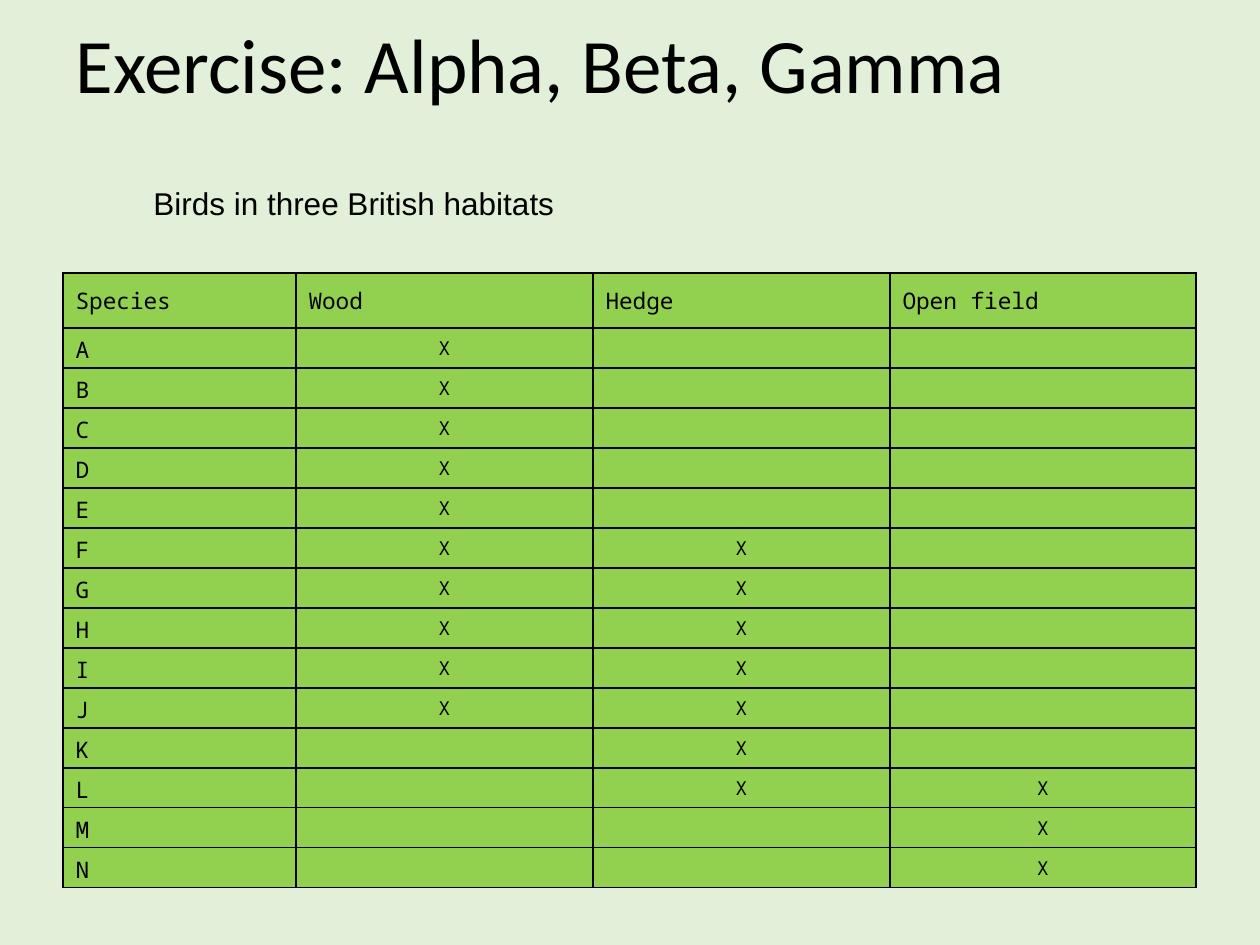
from dataclasses import dataclass

from lxml.etree import SubElement
from pptx import Presentation
from pptx.dml.color import RGBColor
from pptx.enum.text import MSO_ANCHOR, MSO_AUTO_SIZE, PP_ALIGN
from pptx.oxml.ns import qn
from pptx.util import Emu, Pt

PX = 914400 / 126
BLACK = RGBColor(0x00, 0x00, 0x00)
GREEN = RGBColor(0x92, 0xD0, 0x50)
PALE_GREEN = RGBColor(0xE2, 0xF0, 0xD9)
MONO = "Noto Sans Mono"
COL_WIDTHS = (233, 297, 297, 306)
HEADER_HEIGHT, ROW_HEIGHT = 55, 40


@dataclass
class Habitat:
    name: str
    species: str


HABITATS = (
    Habitat("Wood", "ABCDEFGHIJ"),
    Habitat("Hedge", "FGHIJKL"),
    Habitat("Open field", "LMN"),
)
SPECIES = "ABCDEFGHIJKLMN"


def px(n: int) -> Emu:
    return Emu(round(n * PX))


def place(sp, x: int, y: int, w: int, h: int) -> None:
    sp.left, sp.top, sp.width, sp.height = px(x), px(y), px(w), px(h)


def write(tf, text: str, *, size: int, font: str, align=PP_ALIGN.LEFT,
          anchor=MSO_ANCHOR.TOP, spacing: float = 1.0) -> None:
    tf.vertical_anchor = anchor
    p = tf.paragraphs[0]
    p.alignment, p.line_spacing = align, spacing
    if not text:
        SubElement(p._p, qn("a:endParaRPr"), sz=str(size * 100))
        return
    r = p.add_run()
    r.text = text
    r.font.size, r.font.name = Pt(size), font
    r.font.color.rgb = BLACK


def style_cell(cell) -> None:
    tc_pr = cell._tc.get_or_add_tcPr()
    for side in ("lnL", "lnR", "lnT", "lnB"):
        ln = SubElement(tc_pr, qn(f"a:{side}"), w=str(Pt(1)))
        fill = SubElement(ln, qn("a:solidFill"))
        SubElement(fill, qn("a:srgbClr"), val=str(BLACK))
    cell.fill.solid()
    cell.fill.fore_color.rgb = GREEN


def fill_cell(cell, text: str, *, size: int, align=PP_ALIGN.LEFT,
              anchor=MSO_ANCHOR.BOTTOM) -> None:
    style_cell(cell)
    write(cell.text_frame, text, size=size, font=MONO, align=align)
    cell.vertical_anchor = anchor


def add_habitat_table(s, x: int, y: int) -> None:
    height = HEADER_HEIGHT + ROW_HEIGHT * len(SPECIES)
    table = s.shapes.add_table(len(SPECIES) + 1, len(COL_WIDTHS), px(x), px(y),
                               px(sum(COL_WIDTHS)), px(height)).table
    table.first_row = table.horz_banding = False
    for col, width in zip(table.columns, COL_WIDTHS):
        col.width = px(width)
    for i, row in enumerate(table.rows):
        row.height = px(ROW_HEIGHT if i else HEADER_HEIGHT)
    for c, name in enumerate(["Species", *(h.name for h in HABITATS)]):
        fill_cell(table.cell(0, c), name, size=13, anchor=MSO_ANCHOR.MIDDLE)
    for i, species in enumerate(SPECIES, 1):
        fill_cell(table.cell(i, 0), species, size=13)
        for c, habitat in enumerate(HABITATS, 1):
            mark = "X" if species in habitat.species else ""
            fill_cell(table.cell(i, c), mark, size=11, align=PP_ALIGN.CENTER)


def main() -> None:
    """Build the bird habitat exercise slide."""
    prs = Presentation()
    prs.slide_width, prs.slide_height = px(1260), px(945)
    s = prs.slides.add_slide(prs.slide_layouts[5])
    s.background.fill.solid()
    s.background.fill.fore_color.rgb = PALE_GREEN

    title = s.shapes.title
    place(title, 63, 16, 1040, 106)
    write(title.text_frame, "Exercise: Alpha, Beta, Gamma", size=44,
          font="Calibri", anchor=MSO_ANCHOR.MIDDLE, spacing=0.9)

    caption = s.shapes.add_textbox(px(141), px(178), px(426), px(50))
    tf = caption.text_frame
    tf.word_wrap, tf.auto_size = False, MSO_AUTO_SIZE.SHAPE_TO_FIT_TEXT
    write(tf, "Birds in three British habitats", size=18, font="Arial")

    add_habitat_table(s, 63, 273)
    prs.save("out.pptx")


if __name__ == "__main__":
    main()
